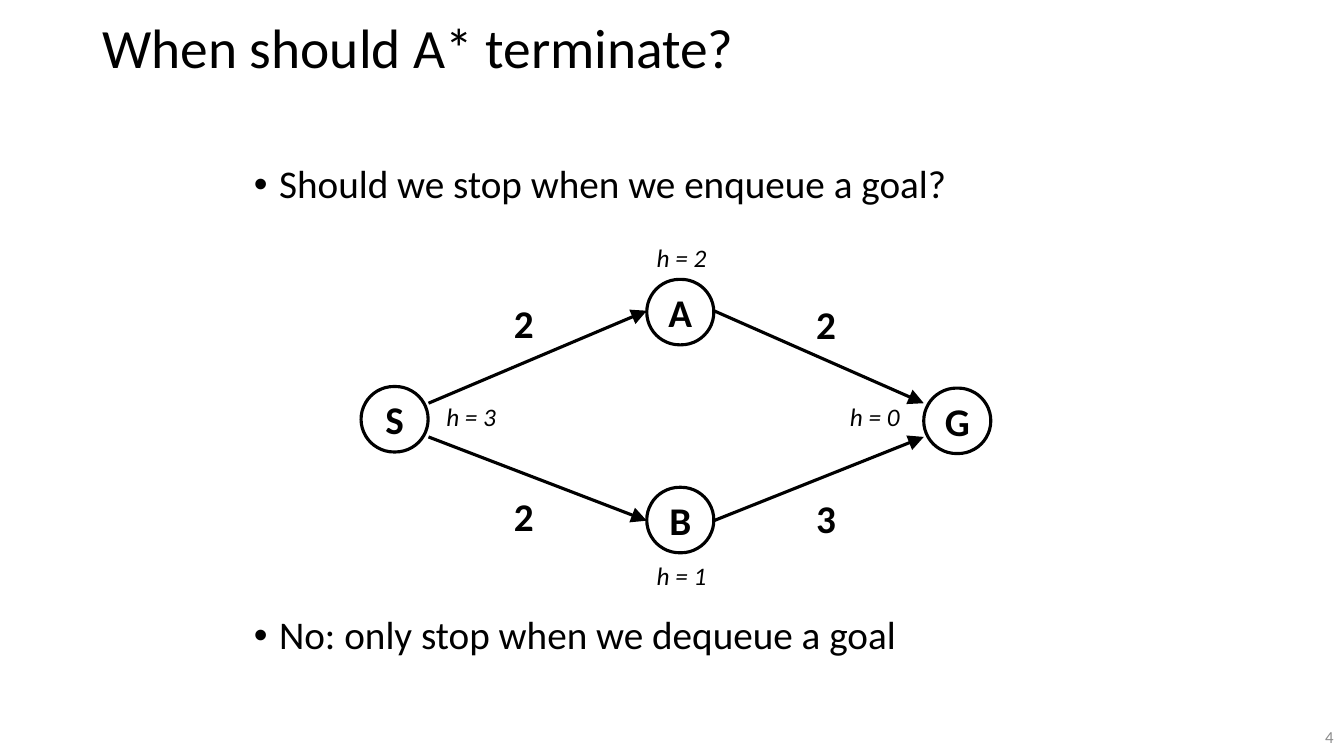
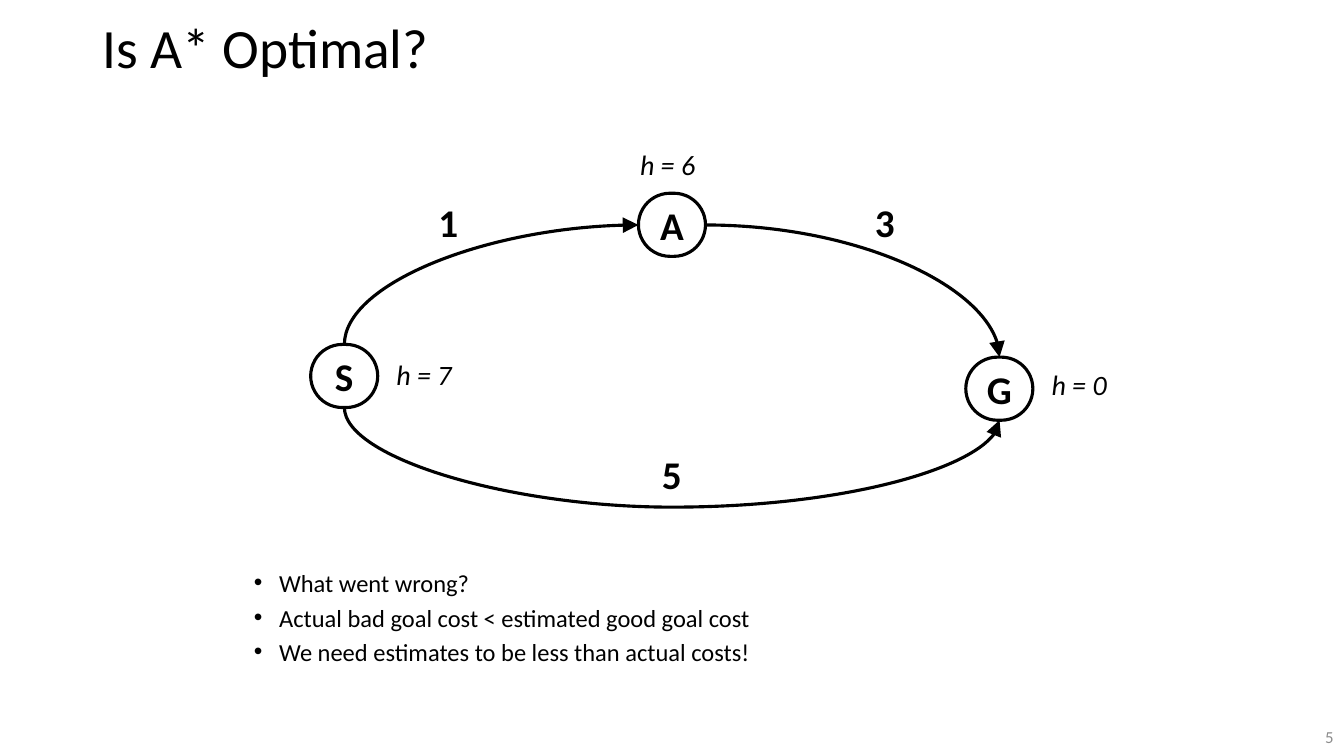
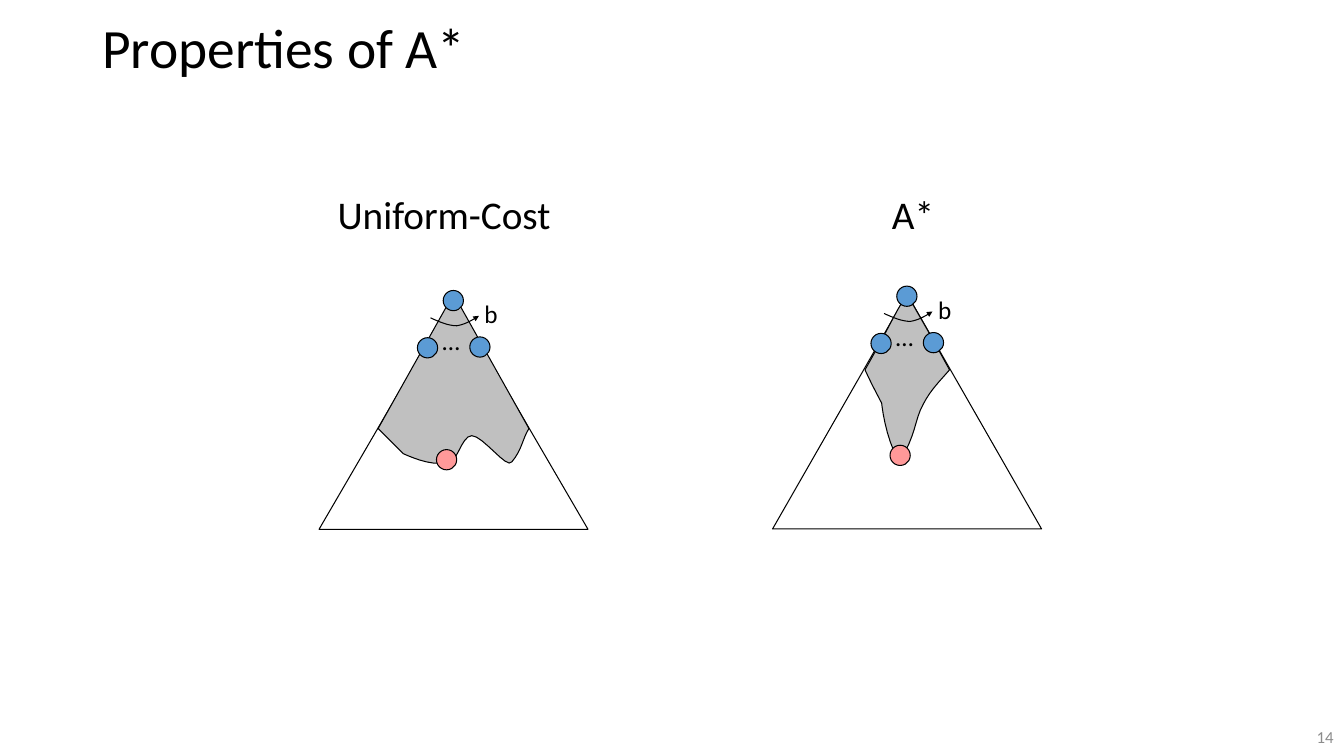
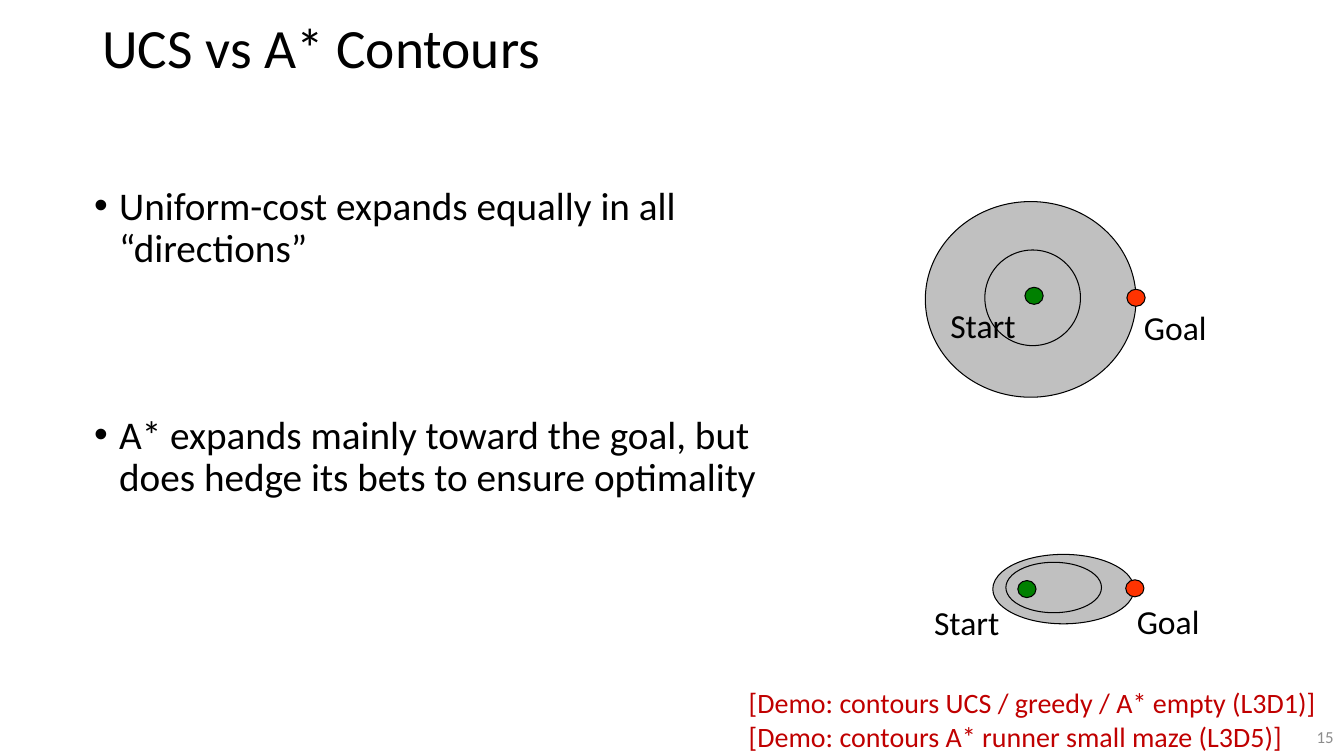
from lxml import etree
from pptx import Presentation
from pptx.dml.color import RGBColor
from pptx.enum.shapes import MSO_CONNECTOR, MSO_SHAPE
from pptx.enum.text import MSO_ANCHOR, PP_ALIGN
from pptx.oxml.ns import qn
from pptx.util import Cm, Pt

BLACK = RGBColor(0x00, 0x00, 0x00)
GRAY = RGBColor(0x8C, 0x8C, 0x8C)
SILVER = RGBColor(0xC0, 0xC0, 0xC0)
BLUE = RGBColor(0x5B, 0x9B, 0xD5)
PINK = RGBColor(0xFF, 0x99, 0x99)
GREEN = RGBColor(0x00, 0x80, 0x00)
RED = RGBColor(0xFF, 0x33, 0x00)
CRIMSON = RGBColor(0xC0, 0x00, 0x00)
FONT = "Calibri"

LEFT, CENTER, RIGHT = PP_ALIGN.LEFT, PP_ALIGN.CENTER, PP_ALIGN.RIGHT
TOP, MIDDLE = MSO_ANCHOR.TOP, MSO_ANCHOR.MIDDLE
OVAL, ROUND = MSO_SHAPE.OVAL, MSO_SHAPE.ROUNDED_RECTANGLE
TRIANGLE = MSO_SHAPE.ISOSCELES_TRIANGLE
STRAIGHT, CURVE = MSO_CONNECTOR.STRAIGHT, MSO_CONNECTOR.CURVE

DOT = 0.51
STEPS = 8


def write(shape, *lines, size=28, color=BLACK, bold=False, italic=False,
          align=LEFT, anchor=TOP, wrap=True, bullet=False, lead=None, gap=0):
    """Fill a shape with one paragraph per line."""
    frame = shape.text_frame
    frame.word_wrap = wrap
    frame.vertical_anchor = anchor
    for i, line in enumerate(lines):
        para = frame.add_paragraph() if i else frame.paragraphs[0]
        para.alignment = align
        if lead:
            para.line_spacing = lead
        if i and gap:
            para.space_before = Pt(gap)
        if bullet:
            props = para._p.get_or_add_pPr()
            props.set("marL", str(Cm(0.635)))
            props.set("indent", str(-Cm(0.635)))
            etree.SubElement(props, qn("a:buFont")).set("typeface", "Arial")
            etree.SubElement(props, qn("a:buChar")).set("char", "•")
        run = para.add_run()
        run.text = line
        font = run.font
        font.name, font.size = FONT, Pt(size)
        font.bold, font.italic = bold, italic
        font.color.rgb = color


def label(slide, x, y, w, h, *lines, **style):
    box = slide.shapes.add_textbox(Cm(x), Cm(y), Cm(w), Cm(h))
    write(box, *lines, **style)


def bullets(slide, x, y, w, h, *lines, **style):
    label(slide, x, y, w, h, *lines, bullet=True, **style)


def paint(shape, fill=None, width=0.75):
    shape.shadow.inherit = False
    if fill is None:
        shape.fill.background()
    else:
        shape.fill.solid()
        shape.fill.fore_color.rgb = fill
    shape.line.color.rgb = BLACK
    shape.line.width = Pt(width)


def shape(slide, kind, x, y, w, h, fill=None, width=0.75):
    item = slide.shapes.add_shape(kind, Cm(x), Cm(y), Cm(w), Cm(h))
    paint(item, fill, width)
    return item


def arrow(line, size):
    """Put an arrowhead at the end of a line."""
    tail = etree.SubElement(line._get_or_add_ln(), qn("a:tailEnd"))
    tail.set("type", "triangle")
    tail.set("w", size)
    tail.set("len", size)


def edge(slide, a, b, turn=None, sag=0):
    """Arrow from a to b; turn counts the quarter turns of a curved one."""
    mid = [(p + q) / 2 for p, q in zip(a, b)]
    dx, dy = a[0] - mid[0], a[1] - mid[1]
    for _ in range(turn or 0):
        dx, dy = dy, -dx
    ends = mid[0] + dx, mid[1] + dy, mid[0] - dx, mid[1] - dy
    link = slide.shapes.add_connector(
        STRAIGHT if turn is None else CURVE, *(Cm(v) for v in ends))
    link.line.color.rgb = BLACK
    link.line.width = Pt(2.25)
    arrow(link.line, "lg")
    props = link._element.spPr
    etree.SubElement(props, qn("a:effectLst"))
    if turn is None:
        return
    props.find(qn("a:xfrm")).set("rot", str(turn * 90 * 60000))
    geom = props.find(qn("a:prstGeom"))
    if sag:
        bend = round(sag / abs(b[1] - a[1]) * 100000)
        guide = etree.SubElement(geom.find(qn("a:avLst")), qn("a:gd"))
        guide.set("name", "adj1")
        guide.set("fmla", f"val {bend}")
    else:
        geom.set("prst", "curvedConnector2")


def graph(slide, x, y, nodes, edges, costs, hints, tall=1.65, small=18):
    for a, b, *bend in edges:
        edge(slide, (x + a[0], y + a[1]), (x + b[0], y + b[1]), *bend)
    for name, dx, dy in nodes:
        node = shape(slide, ROUND, x + dx, y + dy, 1.69, tall, width=2.25)
        node.adjustments[0] = 0.5
        write(node, name, bold=True, align=CENTER, anchor=MIDDLE, wrap=False)
    for cost, dx, dy in costs:
        label(slide, x + dx, y + dy, 1.27, 1.45, cost, bold=True)
    for hint, dx, dy in hints:
        label(slide, x + dx, y + dy, 2.54, 1.02, hint, size=small, italic=True)


def trace(start, steps):
    """Points of an outline whose steps are (point,) or cubic (p, q, end)."""
    points = [start]
    for step in steps:
        if len(step) == 1:
            points.append(step[0])
            continue
        curve = (points[-1], *step)
        for i in range(1, STEPS + 1):
            t = i / STEPS
            rate = (1 - t) ** 3, 3 * t * (1 - t) ** 2, 3 * t * t * (1 - t), t ** 3
            points.append(tuple(
                sum(r * p[k] for r, p in zip(rate, curve)) for k in (0, 1)))
    return points


def outline(slide, x, y, start, steps, fill=None, close=True):
    points = [(Cm(x + dx), Cm(y + dy)) for dx, dy in trace(start, steps)]
    pen = slide.shapes.build_freeform(*points[0], scale=1.0)
    pen.add_line_segments(points[1:], close=close)
    item = pen.convert_to_shape()
    paint(item, fill)
    return item


def tree(slide, x, y, tall, start, steps):
    """Search tree with its root centred on x and topped at y."""
    def dot(dx, dy, fill=BLUE):
        shape(slide, OVAL, x + dx, y + dy, DOT, DOT, fill)

    shape(slide, TRIANGLE, x - 3.39, y + 0.2, 6.78, tall)
    outline(slide, x, y, start, steps, SILVER)
    dot(-0.91, 1.19)
    dot(0.41, 1.17)
    label(slide, x - 0.53, y + 0.76, 0.76, 1.02, "…", size=18)
    fan = outline(slide, x, y, (-0.58, 0.69), [
        ((-0.36, 0.79), (-0.13, 0.89), (0.08, 0.89)),
        ((0.28, 0.86), (0.46, 0.76), (0.64, 0.64))], close=False)
    arrow(fan.line, "sm")
    label(slide, x + 0.53, y + 0.08, 0.84, 1.02, "b", size=18)
    dot(-0.43, 4.01, PINK)
    dot(-0.26, 0)


def contour(slide, x, y, w, h, inner, marks):
    """Nested ovals; each mark has a name, colour, dot place and text place."""
    shape(slide, OVAL, x, y, w, h, SILVER)
    dx, dy, *size = inner
    shape(slide, OVAL, x + dx, y + dy, *size)
    for name, fill, (dx, dy), (tx, ty) in marks:
        shape(slide, OVAL, x + dx, y + dy, 0.46, 0.43, fill)
        label(slide, x + tx, y + ty, 2.54, 1.27, name, size=24)


def page(deck, title, number):
    slide = deck.slides.add_slide(deck.slide_layouts[6])
    label(slide, 2.33, 0.35, 29.21, 1.85, title, size=39.6, anchor=MIDDLE, lead=0.9)
    label(slide, 32.36, 18.08, 1.5, 0.97, number, size=12, color=GRAY,
          align=RIGHT, anchor=MIDDLE)
    return slide


def stop(deck):
    slide = page(deck, "When should A* terminate?", "4")
    bullets(slide, 6.15, 4.03, 27.03, 13.69, "Should we stop when we enqueue a goal?",
            "No: only stop when we dequeue a goal", lead=0.9, gap=292)
    graph(slide, 9.1, 5.97,
          nodes=[("S", 0, 3.77), ("B", 7.2, 6.31), ("A", 7.2, 1.07), ("G", 14.18, 3.81)],
          edges=[((8.89, 1.86), (14.18, 4.19)), ((1.7, 4.19), (7.2, 1.86)),
                 ((1.7, 5.04), (7.2, 7.15)), ((8.89, 7.15), (14.18, 5.04))],
          costs=[("2", 3.6, 1.44), ("3", 11.22, 6.35), ("2", 11.22, 1.47), ("2", 3.6, 6.31)],
          hints=[("h = 1", 7.2, 8.03), ("h = 2", 7.2, 0),
                 ("h = 0", 12.07, 4.01), ("h = 3", 1.9, 4.01)])


def optimal(deck):
    slide = page(deck, "Is A* Optimal?", "5")
    bullets(slide, 6.15, 14.4, 26.59, 2.62, "What went wrong?",
            "Actual bad goal cost < estimated good goal cost",
            "We need estimates to be less than actual costs!", size=17.5, lead=0.7, gap=10)
    graph(slide, 7.83, 3.6, tall=1.59, small=20,
          nodes=[("A", 8.26, 1.27), ("G", 16.51, 5.4), ("S", 0, 5.08)],
          edges=[((0.85, 6.67), (17.36, 6.99), 3, 2.51),
                 ((0.85, 5.08), (8.26, 2.07), 1),
                 ((9.95, 2.07), (17.36, 5.4), 0)],
          costs=[("1", 2.97, 1.27), ("3", 13.97, 1.27), ("5", 8.6, 7.62)],
          hints=[("h = 6", 8.05, 0), ("h = 0", 18.42, 5.54), ("h = 7", 1.91, 5.29)])


def traits(deck):
    slide = page(deck, "Properties of A*", "14")
    tree(slide, 11.43, 7.32, 5.82, (0, 0.09), [
        ((-1.9, 3.48),), ((-1.27, 4.11),),
        ((-1.27, 4.11), (-0.53, 4.47), (-0.2, 4.32)),
        ((0.08, 4.47), (0.18, 3.66), (0.46, 3.66)),
        ((0.74, 3.66), (1.35, 4.52), (1.47, 4.32)),
        ((1.73, 4.01), (1.73, 3.76), (1.9, 3.48))])
    tree(slide, 22.86, 7.21, 5.92, (0, 0.2), [
        ((-0.38, 0.81), (-0.41, 0.97), (-1.06, 2.11)),
        ((-0.86, 2.54), (-0.81, 2.62), (-0.64, 2.95)),
        ((-0.64, 2.95), (-0.56, 3.81), (-0.2, 4.42)),
        ((0.23, 3.78), (0.18, 3.38), (0.41, 2.97)),
        ((0.61, 2.59), (0.86, 2.36), (1.07, 2.11)),
        ((0.43, 0.94), (0.25, 0.66), (0, 0.2))])
    label(slide, 8.26, 4.66, 6.35, 1.45, "Uniform-Cost")
    label(slide, 22.23, 4.66, 1.7, 1.45, "A*")


def rings(deck):
    slide = page(deck, "UCS vs A* Contours", "15")
    contour(slide, 23.32, 5.08, 5.31, 4.93, (1.5, 1.22, 2.41, 2.41), [
        ("Start", GREEN, (2.51, 2.16), (0.38, 2.49)),
        ("Goal", RED, (5.08, 2.21), (5.26, 2.54))])
    contour(slide, 25.02, 13.97, 3.56, 1.75, (0.33, 0.2, 2.41, 1.27), [
        ("Start", GREEN, (0.63, 0.66), (-1.73, 1.07)),
        ("Goal", RED, (3.35, 0.64), (3.38, 1.04))])
    bullets(slide, 2.12, 4.57, 18.62, 12.57,
            "Uniform-cost expands equally in all “directions”",
            "A* expands mainly toward the goal, but does hedge its bets to ensure optimality",
            lead=0.9, gap=103)
    label(slide, 18.62, 17.15, 15.24, 1.96,
          "[Demo: contours UCS / greedy / A* empty (L3D1)]",
          "[Demo: contours A* runner small maze (L3D5)]", size=20, color=CRIMSON)


def main():
    deck = Presentation()
    deck.slide_width, deck.slide_height = Cm(33.87), Cm(19.05)
    for build in (stop, optimal, traits, rings):
        build(deck)
    deck.save("out.pptx")


if __name__ == "__main__":
    main()
